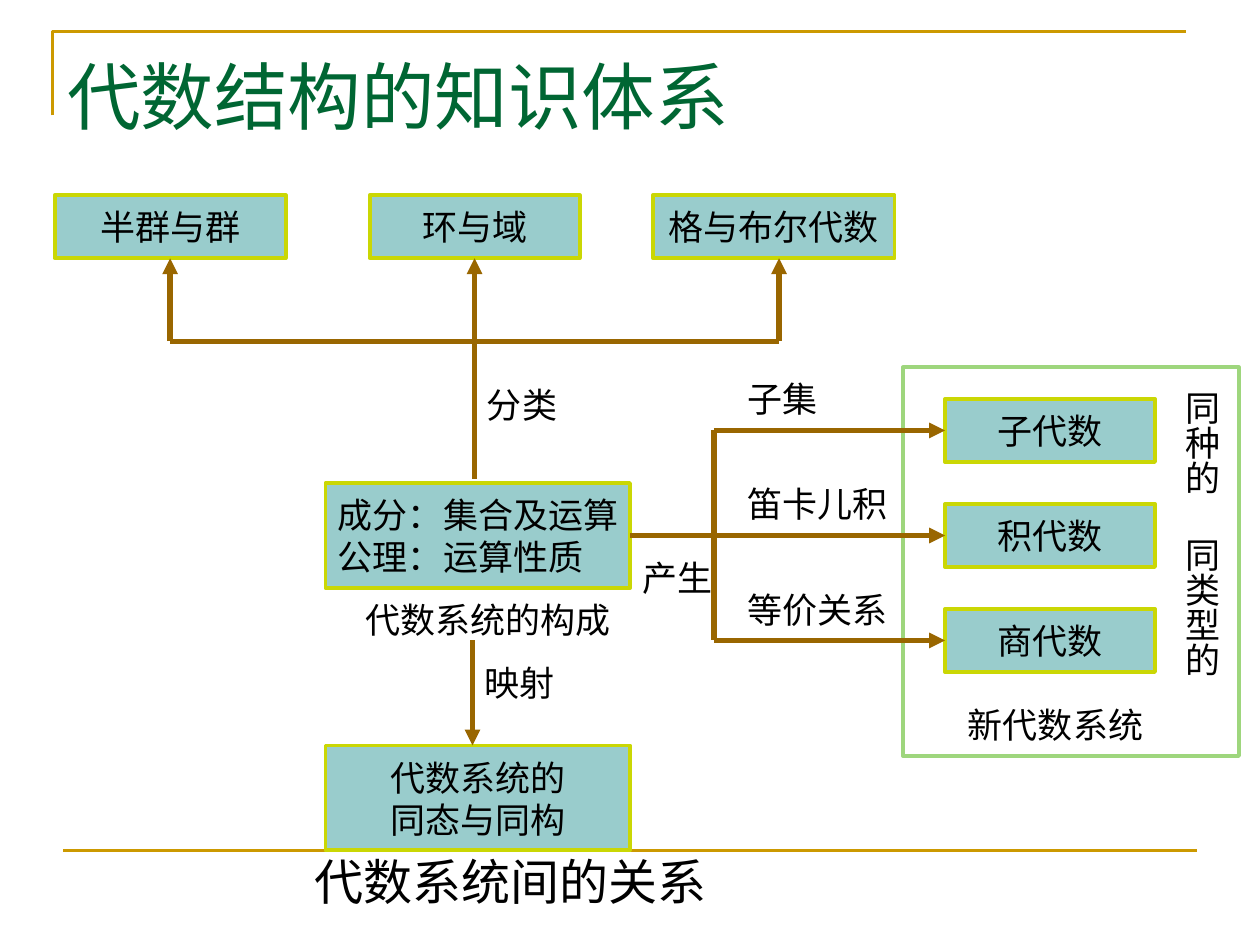
import dataclasses

import pptx
import pptx.dml.color
import pptx.enum.shapes
import pptx.enum.text
import pptx.oxml
import pptx.oxml.ns
import pptx.util

RGBColor = pptx.dml.color.RGBColor
GOLD = RGBColor(0xCC, 0x99, 0x00)
GREEN = RGBColor(0x00, 0x66, 0x33)
BROWN = RGBColor(0x99, 0x66, 0x00)
TEAL = RGBColor(0x99, 0xCC, 0xCC)
LIME = RGBColor(0xCA, 0xD7, 0x04)
PALE_GREEN = RGBColor(0x9E, 0xD6, 0x7D)
BLACK = RGBColor(0, 0, 0)

SANS, LABEL, SERIF = "Noto Sans CJK SC", "Arial", "Times New Roman"
LEFT = pptx.enum.text.PP_ALIGN.LEFT
CENTER = pptx.enum.text.PP_ALIGN.CENTER
TOP, LEFT_SIDE, BOTTOM, RIGHT_SIDE = range(4)

# The slide is a grid of 120 columns by 90 rows, twelve cells to the inch
CELL = pptx.util.Inches(1) / 12
COLUMNS, ROWS = 120, 90
BOX_ROWS = 6


def cells(count):
    return pptx.util.Emu(round(count * CELL))


@dataclasses.dataclass
class Region:
    """Area of the slide whose parts are placed from its top left corner."""
    slide: object
    left: float
    top: float

    def point(self, column, row):
        return cells(self.left + column), cells(self.top + row)

    def frame(self, column, row, width, height):
        return *self.point(column, row), cells(width), cells(height)


def write_text(shape, text, size=20, font=SANS, color=BLACK, align=LEFT,
               anchor=pptx.enum.text.MSO_ANCHOR.MIDDLE, wrap=False):
    text_frame = shape.text_frame
    text_frame.text = text
    text_frame.word_wrap = wrap
    text_frame.vertical_anchor = anchor
    text_frame.auto_size = pptx.enum.text.MSO_AUTO_SIZE.NONE
    for paragraph in text_frame.paragraphs:
        paragraph.alignment = align
        for run in paragraph.runs:
            run.font.size = pptx.util.Pt(size)
            run.font.name = font
            run.font.color.rgb = color


def add_label(region, text, column, row, width, height=BOX_ROWS, vertical=False, **text_format):
    label = region.slide.shapes.add_textbox(*region.frame(column, row, width, height))
    write_text(label, text, **text_format)
    if vertical:
        label.text_frame._txBody.bodyPr.set("vert", "eaVert")


def add_box(region, column, row, width, height, text=None, fill=TEAL, line=LIME, align=CENTER):
    box = region.slide.shapes.add_shape(pptx.enum.shapes.MSO_SHAPE.RECTANGLE,
                                        *region.frame(column, row, width, height))
    box.shadow.inherit = False
    if fill is None:
        box.fill.background()
    else:
        box.fill.solid()
        box.fill.fore_color.rgb = fill
    box.line.color.rgb = line
    box.line.width = pptx.util.Pt(2.25)
    if text:
        write_text(box, text, align=align)
    return box


def add_line(region, start, end, color=BROWN, width=3, arrow=True, source=None, target=None):
    """Draw a line; source and target are (shape, side) pairs to join."""
    line = region.slide.shapes.add_connector(pptx.enum.shapes.MSO_CONNECTOR.STRAIGHT,
                                             *region.point(*start), *region.point(*end))
    line.line.color.rgb = color
    line.line.width = pptx.util.Pt(width)
    if arrow:
        tail = pptx.oxml.parse_xml(
            f'<a:tailEnd {pptx.oxml.ns.nsdecls("a")} type="triangle"/>')
        line.line._get_or_add_ln().append(tail)
    line._element.spPr.append(
        pptx.oxml.parse_xml(f'<a:effectLst {pptx.oxml.ns.nsdecls("a")}/>'))
    if source:
        line.begin_connect(*source)
    if target:
        line.end_connect(*target)


def add_frame_and_title(region, text):
    # Corner rule at the top, straight rule at the bottom
    corner = region.slide.shapes.build_freeform(*region.point(0, 8))
    corner.add_line_segments([region.point(0, 0), region.point(108, 0)], close=False)
    rule = corner.convert_to_shape()
    rule.shadow.inherit = False
    rule.fill.background()
    rule.line.color.rgb = GOLD
    rule.line.width = pptx.util.Pt(1.5)
    add_line(region, (1, 78), (109, 78), color=GOLD, width=1.5, arrow=False)

    title = region.slide.shapes.title
    title.left, title.top, title.width, title.height = region.frame(0.2, 1.3, 108, 5.3)
    write_text(title, text, size=42, font=SERIF, color=GREEN, wrap=True,
               anchor=pptx.enum.text.MSO_ANCHOR.TOP)


def add_classification(region):
    # Three classes fed from one horizontal bus
    bus_row, bottom_row = 13.9, 27
    branches = [("半群与群", 0, 22, 11, bus_row),
                ("环与域", 30, 20, 40, bottom_row),
                ("格与布尔代数", 57, 23, 69, bus_row)]
    add_line(region, (11, bus_row), (69, bus_row), arrow=False)
    for text, column, width, arrow_column, start_row in branches:
        box = add_box(region, column, 0, width, BOX_ROWS, text)
        centred = arrow_column == column + width / 2
        add_line(region, (arrow_column, start_row), (arrow_column, BOX_ROWS),
                 target=(box, BOTTOM) if centred else None)
    add_label(region, "分类", 40, 16.9, 15, font=LABEL)


def add_composition(region):
    box = add_box(region, 0, 0, 29, 10, "成分：集合及运算\n公理：运算性质", align=LEFT)
    add_label(region, "代数系统的构成", 1, 10, 29, font=LABEL, align=CENTER)
    return box


def add_relations(region):
    # Mapping arrow down to homomorphism and isomorphism
    add_box(region, 0, 10, 29, 10, "代数系统的\n同态与同构")
    add_label(region, "代数系统间的关系", -2.2, 19.9, 29, size=28)
    add_line(region, (14, 0), (14, 10))
    add_label(region, "映射", 14, 1, 15, font=LABEL)


def add_new_systems(region, source_box):
    # Frame around the derived systems
    add_box(region, 26, 0, 32, 37, fill=None, line=PALE_GREEN)
    add_label(region, "新代数系统", 31, 31, 22)
    add_label(region, "同种的", 52, 1, 5, 11, vertical=True)
    add_label(region, "同类型的", 52, 15, 5, 15, vertical=True)

    # Three constructions, one every ten rows
    trunk, box_column = 8, 30
    add_line(region, (trunk, 6), (trunk, 26), arrow=False)
    constructions = [("子集", "子代数"), ("笛卡儿积", "积代数"), ("等价关系", "商代数")]
    for index, (operation, result) in enumerate(constructions):
        row = 10 * index
        box = add_box(region, box_column, row + 3, 20, BOX_ROWS, result)
        middle = index == 1
        add_line(region, (0 if middle else trunk, row + 6), (box_column, row + 6),
                 source=(source_box, RIGHT_SIDE) if middle else None,
                 target=(box, LEFT_SIDE))
        add_label(region, operation, 10, row, 15, font=LABEL)
    add_label(region, "产生", 0, 17, 10, font=LABEL)


def main():
    presentation = pptx.Presentation()
    presentation.slide_width = cells(COLUMNS)
    presentation.slide_height = cells(ROWS)
    slide = presentation.slides.add_slide(presentation.slide_layouts[5])

    add_frame_and_title(Region(slide, 5, 3), "代数结构的知识体系")
    add_classification(Region(slide, 5.2, 18.6))
    composition = add_composition(Region(slide, 31, 46))
    add_relations(Region(slide, 31, 61))
    add_new_systems(Region(slide, 60, 35), composition)
    presentation.save("out.pptx")


if __name__ == "__main__":
    main()
